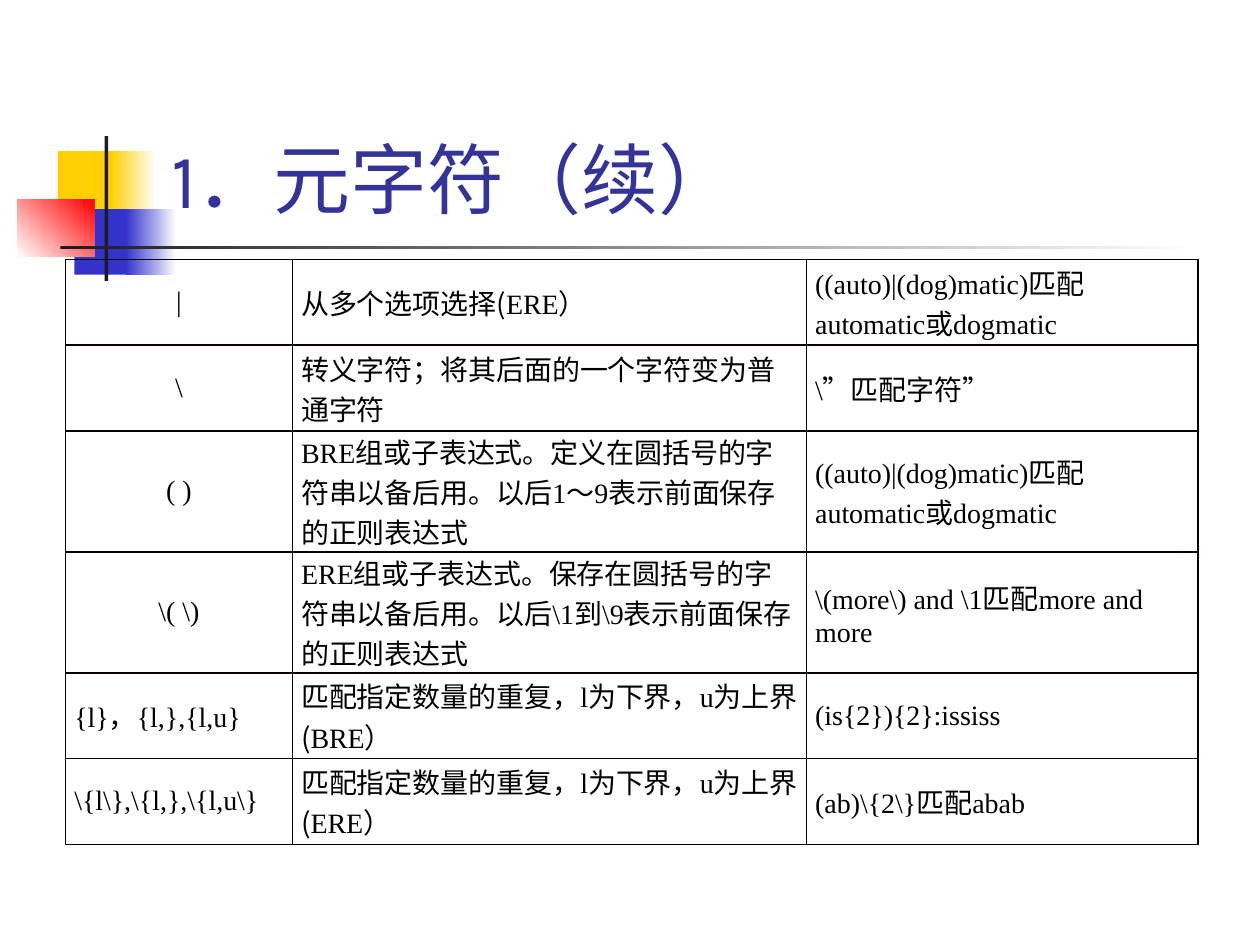
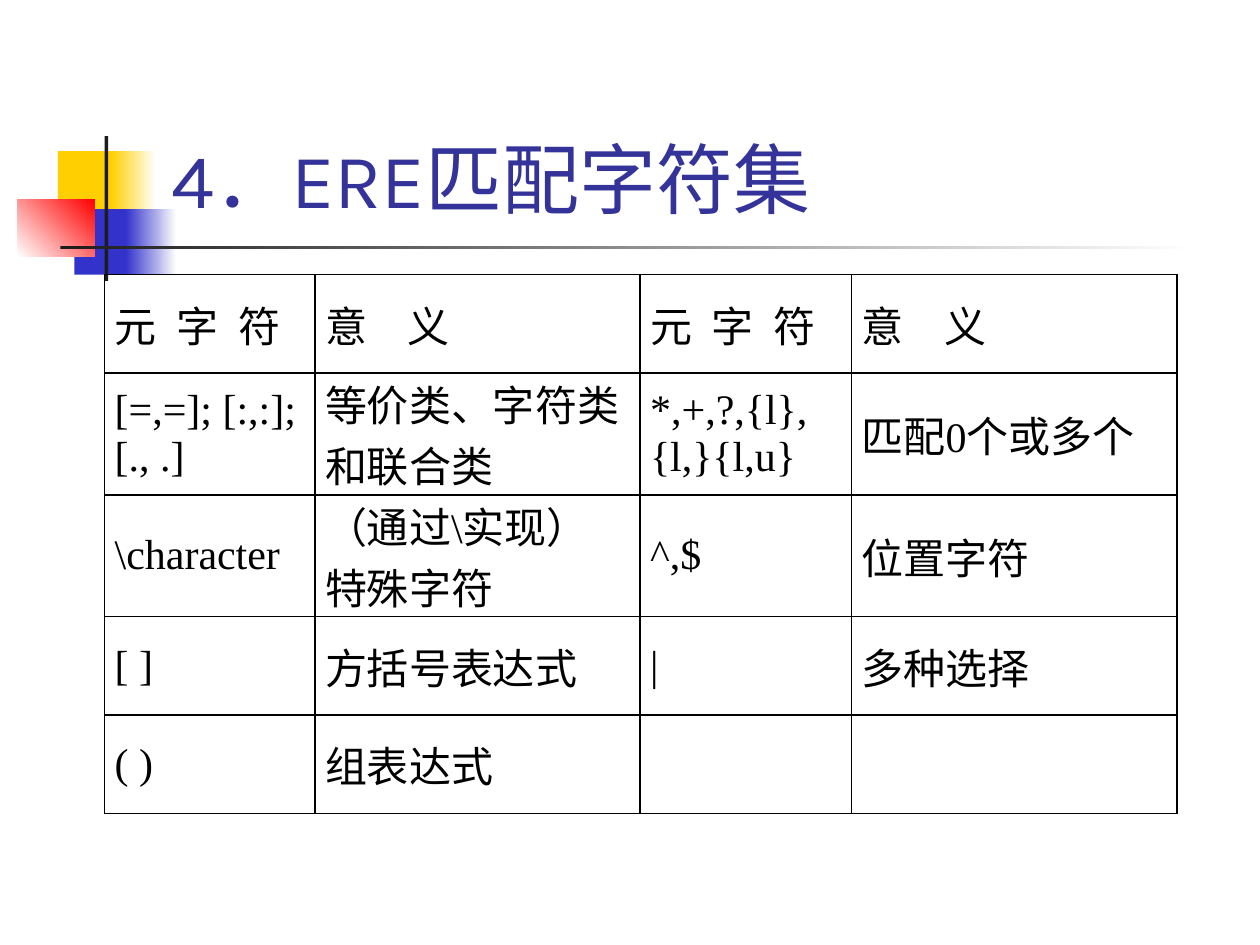
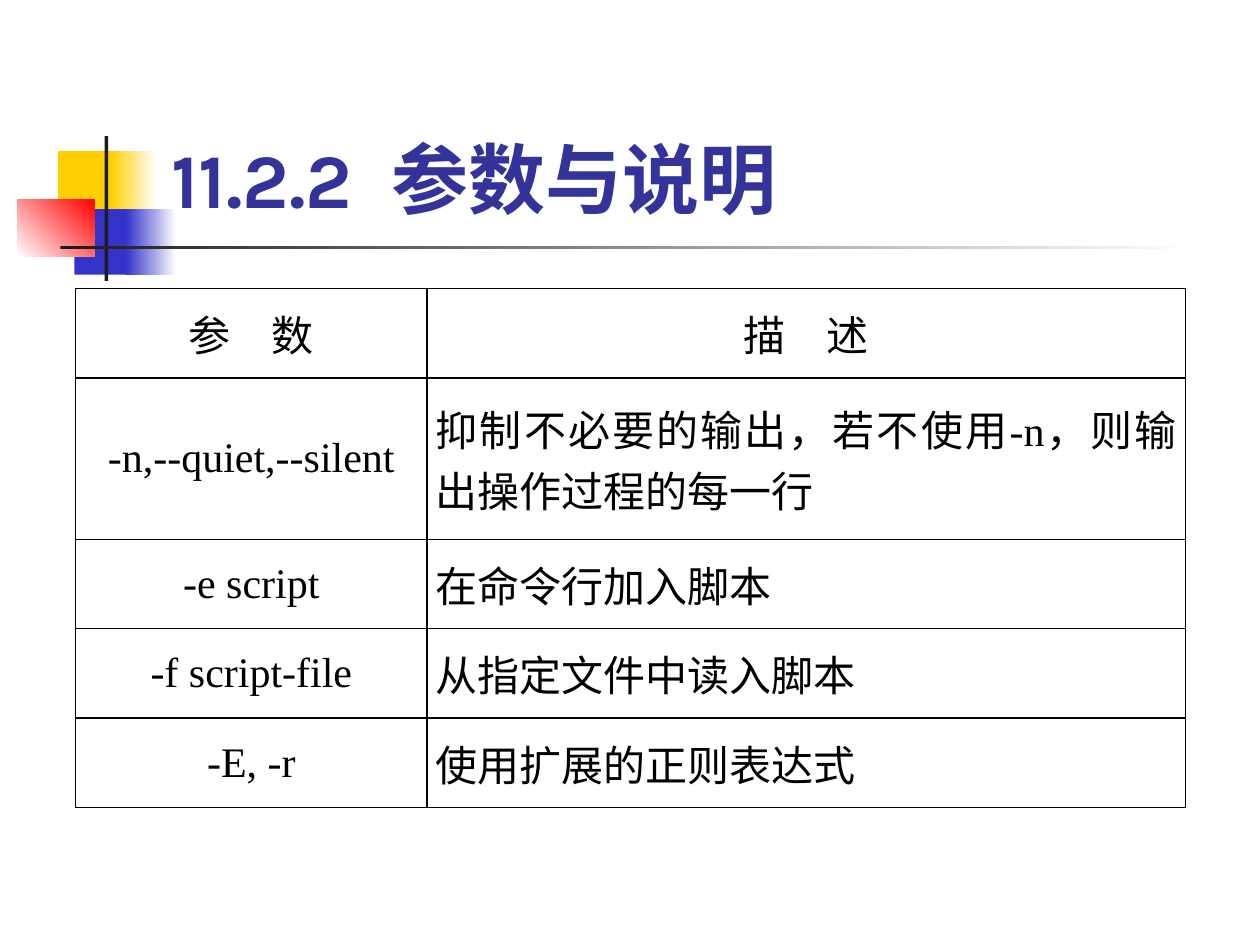
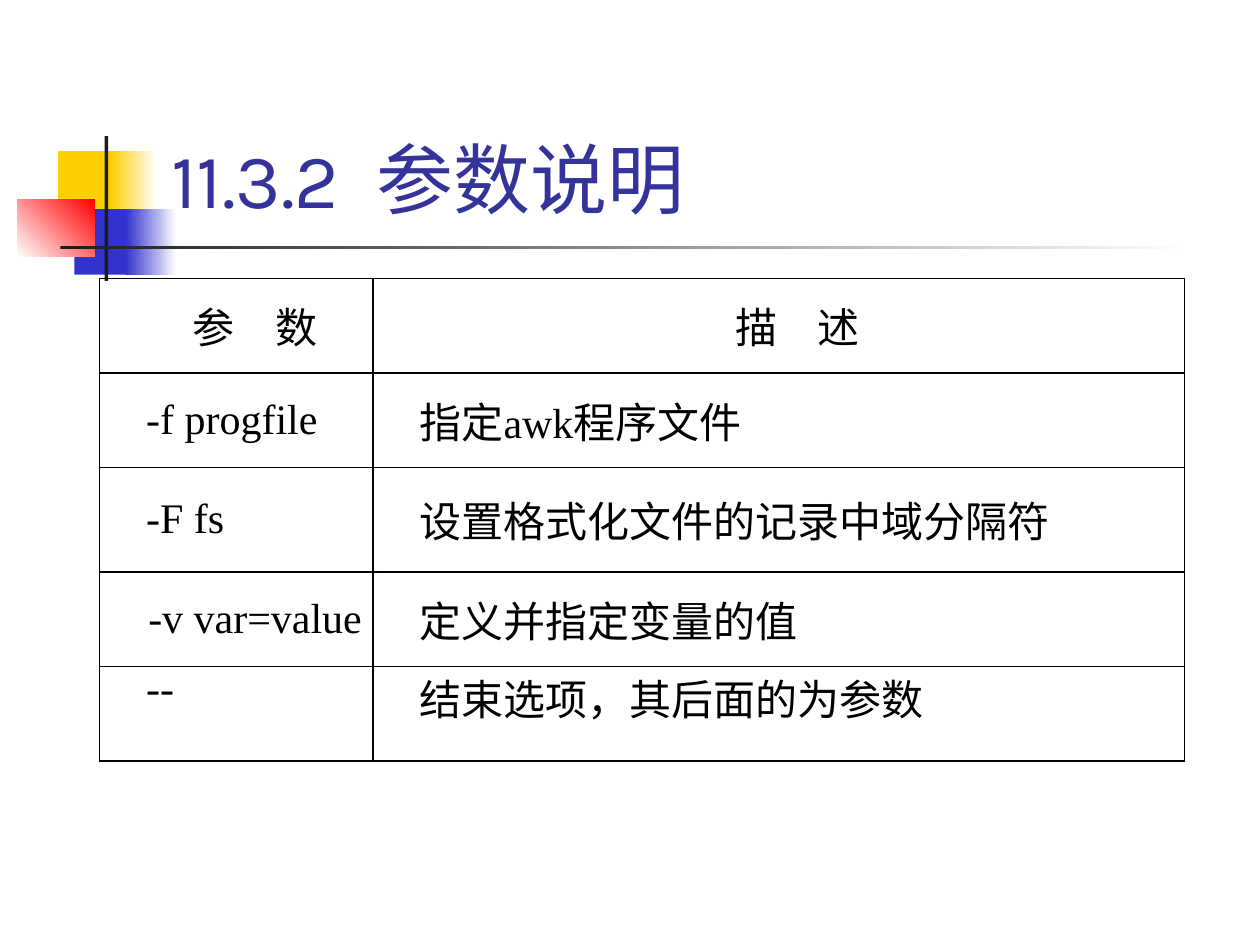
import pptx
import pptx.dml.color
import pptx.enum.shapes
import pptx.enum.text
import pptx.oxml
import pptx.oxml.ns
import pptx.util
from lxml import etree

Inches = pptx.util.Inches
Pt = pptx.util.Pt
ALIGN = pptx.enum.text.PP_ALIGN
ANCHOR = pptx.enum.text.MSO_ANCHOR
qn = pptx.oxml.ns.qn

# Shared look
YELLOW, BLUE, RED = "FFCF01", "3333CC", "FF0000"
WHITE, BLACK, DARK, WARM_BLACK = "FFFFFF", "000000", "1C1C1C", "080000"
TITLE_COLOR = "333399"
TITLE_FONT, LATIN_FONT, CHINESE_FONT = "Karla", "Times New Roman", "Noto Sans CJK SC"
ALIGNMENTS = {"l": ALIGN.LEFT, "c": ALIGN.CENTER, "j": ALIGN.JUSTIFY}

# Letter spacing of the spread-out column headings, in points
HEADING_SPACING = {"元 字 符": 3, "意 义": 9, "参 数": 9, "描 述": 9}

# Left, top, width, height, colours (two make a gradient), gradient angle
DECORATION = [
    (0.46, 1.2, 0.48, 0.52, [YELLOW], 0),
    (0.88, 1.2, 0.36, 0.52, [YELLOW, WHITE], 0),
    (0.59, 1.66, 0.46, 0.52, [BLUE], 0),
    (1, 1.66, 0.4, 0.52, [BLUE, WHITE], 0),
    (0.14, 1.58, 0.61, 0.46, [WHITE, RED], 45),
    (0.83, 1.08, 0.03, 1.15, [DARK], 0),
    (0.48, 1.95, 9, 0.03, [DARK, WHITE], 0),
]

# Table rows: one alignment letter per column, then the cells.
# A cell is a string or a tuple of runs.
MATCH_DOGMATIC = ("((auto)|(dog)matic)", "匹配", "automatic", "或", "dogmatic")


def repeat_count(standard):
    return ("匹配指定数量的重复，", "l", "为下界，", "u", "为上界(", standard, "）")


METACHARACTERS = [
    ("cll", "|", ("从多个选项选择(", "ERE", "）"), MATCH_DOGMATIC),
    ("cll", "\\", "转义字符；将其后面的一个字符变为普通字符", ("\\", "”匹配字符”")),
    ("cll", "( )",
     ("BRE", "组或子表达式。定义在圆括号的字符串以备后用。以后", "1", "～", "9",
      "表示前面保存的正则表达式"), MATCH_DOGMATIC),
    ("cll", r"\( \)",
     ("ERE", "组或子表达式。保存在圆括号的字符串以备后用。以后", r"\1", "到", r"\9",
      "表示前面保存的正则表达式"),
     (r"\(more\) and \1", "匹配", "more and more")),
    ("lll", ("{l}", "，", "{l,},{l,u}"), repeat_count("BRE"), "(is{2}){2}:ississ"),
    ("lll", r"\{l\},\{l,},\{l,u\}", repeat_count("ERE"), (r"(ab)\{2\}", "匹配", "abab")),
]
ERE_SETS = [
    ("llll", "元 字 符", "意 义", "元 字 符", "意 义"),
    ("llll", "[=,=]; [:,:]; [., .]", "等价类、字符类和联合类",
     "*,+,?,{l},{l,}{l,u}", "匹配0个或多个"),
    ("llll", r"\character", r"（通过\实现）特殊字符", "^,$", "位置字符"),
    ("llll", "[ ]", "方括号表达式", "|", "多种选择"),
    ("llll", "( )", "组表达式", "", ""),
]
SED_OPTIONS = [
    ("cc", "参 数", "描 述"),
    ("cj", "-n,--quiet,--silent", "抑制不必要的输出，若不使用-n，则输出操作过程的每一行"),
    ("cj", "-e script", "在命令行加入脚本"),
    ("cj", "-f script-file", "从指定文件中读入脚本"),
    ("cj", "-E, -r", "使用扩展的正则表达式"),
]
AWK_OPTIONS = [
    ("cc", "参 数", "描 述"),
    ("ll", "-f progfile", ("指定", "awk", "程序文件")),
    ("ll", "-F fs", "设置格式化文件的记录中域分隔符"),
    ("cl", "-v var=value", "定义并指定变量的值"),
    ("ll", "--", "结束选项，其后面的为参数"),
]


def color(value):
    return pptx.dml.color.RGBColor.from_string(value)


def add_run(para, text, font, size, shade, bold=False):
    span = para.add_run()
    span.text = text
    span.font.name = font
    span.font.size = Pt(size)
    span.font.bold = bold
    span.font.color.rgb = color(shade)
    east_asian = etree.SubElement(span.font._element, qn("a:ea"))
    east_asian.set("typeface", CHINESE_FONT)
    return span


def add_block(page, left, top, width, height, shades, angle):
    block = page.shapes.add_shape(
        pptx.enum.shapes.MSO_SHAPE.RECTANGLE,
        Inches(left), Inches(top), Inches(width), Inches(height))
    block.shadow.inherit = False
    block.line.fill.background()
    if len(shades) == 1:
        block.fill.solid()
        block.fill.fore_color.rgb = color(shades[0])
    else:
        block.fill.gradient()
        block.fill.gradient_angle = angle
        for position, (stop, shade) in enumerate(zip(block.fill.gradient_stops, shades)):
            stop.position = position
            stop.color.rgb = color(shade)
    return block


def decorate_master(deck, page):
    """Draw the blocks on a page, then move them behind the master's placeholders."""
    tree = deck.slide_master.shapes.element
    for number, block_values in enumerate(DECORATION):
        block = add_block(page, *block_values).element
        block.nvSpPr.cNvPr.set("id", str(100 + number))
        tree.insert(2 + number, block)


def add_page(deck, title, bold=False):
    page = deck.slides.add_slide(deck.slide_layouts[5])
    box = page.shapes.title
    box.left, box.top = Inches(1.26), Inches(0.23)
    box.width, box.height = Inches(8.52), Inches(1.6)
    frame = box.text_frame
    frame.word_wrap = True
    frame.auto_size = pptx.enum.text.MSO_AUTO_SIZE.NONE
    frame.vertical_anchor = ANCHOR.BOTTOM
    para = frame.paragraphs[0]
    para.alignment = ALIGN.LEFT
    add_run(para, title, TITLE_FONT, 44, TITLE_COLOR, bold)
    return page


def set_borders(cell, shade, widths):
    """Border widths in points run left, right, top, bottom."""
    properties = cell._tc.get_or_add_tcPr()
    for place, (side, width) in enumerate(zip("LRTB", widths)):
        line = pptx.oxml.parse_xml(
            f'<a:ln{side} {pptx.oxml.ns.nsdecls("a")} w="{Pt(width)}">'
            f'<a:solidFill><a:srgbClr val="{shade}"/></a:solidFill></a:ln{side}>')
        properties.insert(place, line)


def fill_cell(cell, content, align, size, mixed_fonts, indent, inset):
    cell.fill.background()
    cell.vertical_anchor = ANCHOR.MIDDLE
    cell.margin_left = cell.margin_right = Inches(inset)
    cell.margin_top = cell.margin_bottom = 0
    para = cell.text_frame.paragraphs[0]
    para.alignment = ALIGNMENTS[align]
    if indent:
        para._p.get_or_add_pPr().set("indent", str(Inches(indent)))
    for text in (content,) if isinstance(content, str) else content:
        if not text:
            continue
        chinese = any(ord(letter) > 0x2000 for letter in text)
        font = CHINESE_FONT if mixed_fonts and chinese else LATIN_FONT
        span = add_run(para, text, font, size, BLACK)
        if text in HEADING_SPACING:
            span.font._element.set("spc", str(HEADING_SPACING[text] * 100))


def add_grid(page, left, top, widths, heights, rows, size=24, border=BLACK,
             mixed_fonts=False, indent=0, inset=0.07, heavy_after=None):
    """Table with thin borders; heavy_after names a column with a thicker right edge."""
    table = page.shapes.add_table(
        len(heights), len(widths), Inches(left), Inches(top),
        Inches(sum(widths)), Inches(sum(heights))).table
    table.first_row = table.horz_banding = False
    for column, width in zip(table.columns, widths):
        column.width = Inches(width)
    for row, height, (aligns, *contents) in zip(table.rows, heights, rows):
        row.height = Inches(height)
        for index, (cell, align, content) in enumerate(zip(row.cells, aligns, contents)):
            fill_cell(cell, content, align, size, mixed_fonts, indent, inset)
            left_width = 1.5 if heavy_after is not None and index == heavy_after + 1 else 1
            right_width = 1.5 if index == heavy_after else 1
            set_borders(cell, border, (left_width, right_width, 1, 1))
    return table


def main():
    deck = pptx.Presentation()
    deck.slide_width, deck.slide_height = Inches(10), Inches(7.5)

    # Metacharacters, continued
    page = add_page(deck, "1．元字符（续）")
    decorate_master(deck, page)
    add_grid(page, 0.52, 2.06, [1.8, 4.08, 3.11], [0.68, 0.68, 0.95, 0.95, 0.68, 0.68],
             METACHARACTERS, size=16, border=WARM_BLACK, mixed_fonts=True)

    # ERE character sets
    page = add_page(deck, "4．ERE匹配字符集")
    add_grid(page, 0.83, 2.18, [1.67, 2.58, 1.68, 2.58], [0.78, 0.84, 0.84, 0.78, 0.78],
             ERE_SETS, inset=0.08, heavy_after=1)

    # Stream editor options
    page = add_page(deck, "11.2.2  参数与说明", bold=True)
    add_grid(page, 0.6, 2.29, [2.79, 6.02], [0.71, 1.28, 0.71, 0.71, 0.71], SED_OPTIONS)

    # awk options, with the last row at the top of its cells
    page = add_page(deck, "11.3.2  参数说明")
    table = add_grid(page, 0.79, 2.21, [2.17, 6.44], [0.75, 0.75, 0.83, 0.75, 0.75],
                     AWK_OPTIONS, border=WARM_BLACK, mixed_fonts=True, indent=0.3)
    for cell in table.rows[len(AWK_OPTIONS) - 1].cells:
        cell.vertical_anchor = ANCHOR.TOP

    deck.save("out.pptx")


if __name__ == "__main__":
    main()
